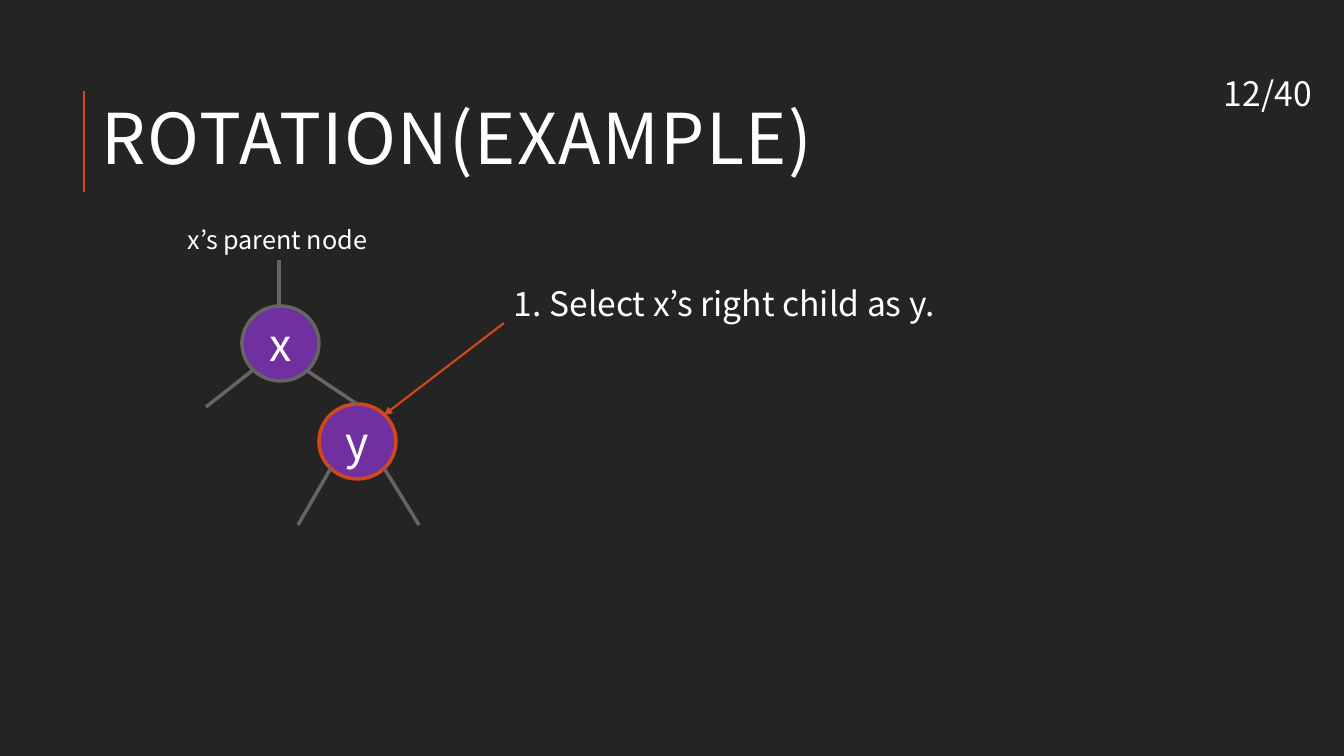
from lxml import etree
from pptx import Presentation
from pptx.dml.color import RGBColor
from pptx.enum.shapes import MSO_CONNECTOR, MSO_SHAPE
from pptx.enum.text import MSO_ANCHOR, PP_ALIGN
from pptx.oxml.ns import qn
from pptx.util import Pt

STRAIGHT = MSO_CONNECTOR.STRAIGHT
OVAL = MSO_SHAPE.OVAL
TOP, MIDDLE = MSO_ANCHOR.TOP, MSO_ANCHOR.MIDDLE
LEFT, CENTER = PP_ALIGN.LEFT, PP_ALIGN.CENTER
PX = 914400 / 100.8
FONT = "Noto Sans CJK JP"
WHITE, ORANGE, GRAY, PURPLE, DARK = "FFFFFF", "D34817", "696464", "7030A0", "242424"


def color(hex_value):
    return RGBColor.from_string(hex_value)


def write(frame, text, size, anchor, align):
    frame.vertical_anchor = anchor
    paragraph = frame.paragraphs[0]
    paragraph.alignment = align
    run = paragraph.add_run()
    run.text = text
    for attribute, value in {"name": FONT, "size": Pt(size)}.items():
        setattr(run.font, attribute, value)
    run.font.color.rgb = color(WHITE)
    return paragraph, run


prs = Presentation()
prs.slide_width, prs.slide_height = round(1344 * PX), round(756 * PX)
slide = prs.slides.add_slide(prs.slide_layouts[6])
slide.background.fill.solid()
slide.background.fill.fore_color.rgb = color(DARK)

# Title, step, parent label and page number
labels = [
    ("ROTATION(EXAMPLE)", 50, (92, 94, 1096, 101), MIDDLE),
    ("1. Select x’s right child as y.", 24, (504, 278, 458, 50), TOP),
    ("x’s parent node", 18, (178, 219, 203, 40), TOP),
    ("12/40", 24, (1214, 65, 121, 56), MIDDLE),
]
for text, size, box, anchor in labels:
    label = slide.shapes.add_textbox(*(round(v * PX) for v in box))
    label.text_frame.word_wrap = True
    paragraph, run = write(label.text_frame, text, size, anchor, LEFT)
    if size == 50:
        paragraph.line_spacing = 0.8
        run.font._element.set("spc", "100")

# Tree nodes
for text, left, top, outline in [("x", 242, 306, GRAY), ("y", 319, 404, ORANGE)]:
    node = slide.shapes.add_shape(OVAL, *(round(v * PX) for v in (left, top, 77, 75)))
    node.shadow.inherit = False
    node.fill.solid()
    node.fill.fore_color.rgb = color(PURPLE)
    node.line.color.rgb = color(outline)
    node.line.width = Pt(2.5)
    frame = node.text_frame
    for side in ("left", "right", "top", "bottom"):
        setattr(frame, "margin_" + side, 0)
    frame.word_wrap = False
    write(frame, text, 32, MIDDLE, CENTER)

# Title rule, tree edges and the arrow to y
lines = [
    ((84, 192, 84, 91), ORANGE, 1.5, False),
    ((253, 370, 206, 407), GRAY, 2.5, False),
    ((306, 370, 357, 404), GRAY, 2.5, False),
    ((331, 468, 298, 525), GRAY, 2.5, False),
    ((384, 468, 419, 525), GRAY, 2.5, False),
    ((279, 306, 279, 260), GRAY, 2.5, False),
    ((504, 323, 384, 415), ORANGE, 1.5, True),
]
for ends, stroke, width, has_arrow in lines:
    edge = slide.shapes.add_connector(STRAIGHT, *(round(v * PX) for v in ends))
    edge.line.color.rgb = color(stroke)
    edge.line.width = Pt(width)
    if has_arrow:
        etree.SubElement(edge.line._get_or_add_ln(), qn("a:tailEnd"), type="triangle")
    etree.SubElement(edge._element.spPr, qn("a:effectLst"))

prs.save("out.pptx")
